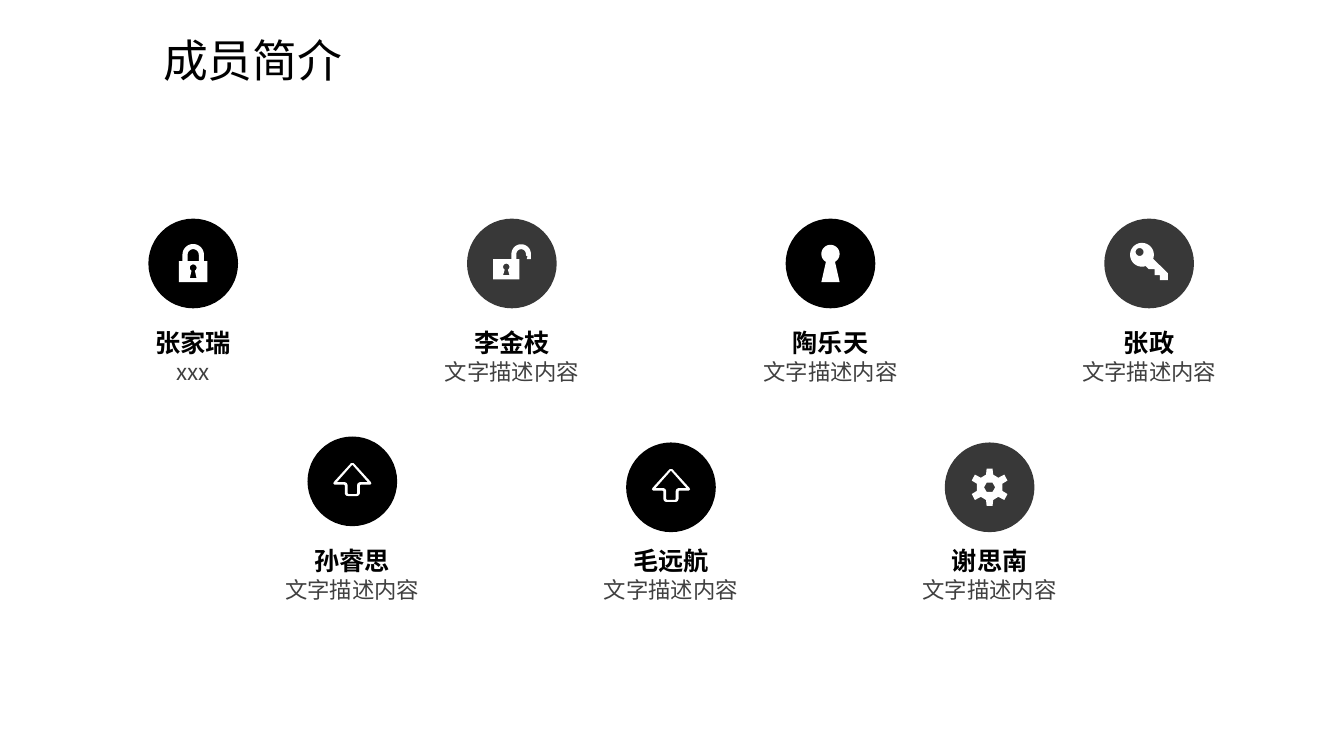
"""Build the team introduction slide: seven members with round icons."""
from dataclasses import dataclass
from math import cos, radians, sin

from lxml.etree import SubElement
from pptx import Presentation
from pptx.dml.color import RGBColor
from pptx.enum.shapes import MSO_SHAPE as Shape
from pptx.enum.text import MSO_ANCHOR as Anchor, PP_ALIGN as Align
from pptx.oxml.ns import qn
from pptx.util import Cm, Pt

TITLE = "成员简介"
ROWS = [
    [("张家瑞", "xxx", "lock"), ("李金枝", "文字描述内容", "unlock"),
     ("陶乐天", "文字描述内容", "keyhole"), ("张政", "文字描述内容", "key")],
    [("孙睿思", "文字描述内容", "arrow"), ("毛远航", "文字描述内容", "arrow"),
     ("谢思南", "文字描述内容", "gear")],
]
LIGHT_ICONS = {"unlock", "key", "gear"}
ROW_LEFT = [4.87, 8.88]
CIRCLE_TOPS = [[5.51] * 4, [11.0, 11.15, 11.15]]
NAME_TOPS = [8.26, 13.74]
PITCH = 8.03
CIRCLE = 2.26
TEXT_WIDTH, NAME_HEIGHT, NOTE_HEIGHT, NOTE_DROP = 4.39, 0.76, 0.68, 0.77


@dataclass(frozen=True)
class Theme:
    font: str = "Noto Sans CJK SC"
    black: RGBColor = RGBColor(0, 0, 0)
    gray: RGBColor = RGBColor(0x40, 0x40, 0x40)
    white: RGBColor = RGBColor(255, 255, 255)
    light_alpha: int = 78000
    title_size: int = 32
    name_size: int = 18
    note_size: int = 16


THEME = Theme()


def arc(x, y, radius, start, end, steps=32):
    angles = [radians(start + (end - start) * i / steps) for i in range(steps + 1)]
    return [(x + radius * cos(a), y + radius * sin(a)) for a in angles]


def mirror(half):
    return half + [(-x, y) for x, y in reversed(half)]


def keyhole(x, y, radius, bottom):
    return arc(x, y, radius, 120, 420) + [(x + radius, bottom), (x - radius, bottom)]


def gear_outline():
    upper = [(0.75, -4.7), (0.9, -3.2), (2.2, -2.4), (3.7, -3.2), (4.5, -1.7), (3.2, -0.9)]
    return mirror(upper + [(x, -y) for x, y in reversed(upper)])


ICONS = {
    "lock": [
        mirror(arc(0, -2.2, 2.7, 270, 360) + [(2.7, -0.6), (3.6, -0.6), (3.6, 4.7)]),
        mirror(arc(0, -2.2, 1.4, 270, 360) + [(1.4, -0.6)]),
        keyhole(0, 1.1, 0.85, 3.7),
    ],
    "unlock": [
        [(-4.7, -1.1), (-0.1, -1.1)] + arc(2.35, -2.4, 2.45, 180, 360)
        + [(4.8, -1.1), (3.8, -1.1), (3.8, -1.4), (4, -1.7), (3.6, -2)]
        + arc(2.35, -2.4, 1.2, 360, 180)
        + [(1.15, -1.1), (1.9, -1.1), (1.9, 4), (-4.7, 4)],
        keyhole(-1.4, 0.85, 0.8, 2.9),
    ],
    "keyhole": [keyhole(0, -2.4, 2.3, 4.7)],
    "key": [
        arc(-1.8, -2.2, 3, 72, 380)
        + [(4.7, 2.4), (4.7, 4.2), (2.7, 4.2), (2.7, 2.9), (1.4, 2.9), (1.4, 1.4), (-0.1, 1.4)],
        arc(-2.4, -2.9, 1, 0, 360),
    ],
    "arrow": [
        mirror([(0.3, -4.6), (0.5, -4.4), (4.6, 0.1), (4.8, 0.5), (4.5, 0.85), (2.1, 0.85),
                (1.9, 1), (1.9, 2.9)] + arc(1.1, 2.9, 0.8, 0, 90, 8)),
        mirror([(0, -4.2), (3.9, 0.2), (1.9, 0.2), (1.4, 0.45), (1.2, 0.9),
                (1.2, 3), (1, 3.2)]),
    ],
    "gear": [
        gear_outline(),
        mirror([(0.75, -1.15), (1.4, 0), (0.75, 1.15)]),
    ],
}


def paint(shape, color, alpha=None):
    shape.shadow.inherit = False
    shape.fill.solid()
    shape.fill.fore_color.rgb = color
    shape.line.fill.background()
    if alpha:
        tint = shape.fill._xPr.find(".//" + qn("a:srgbClr"))
        SubElement(tint, qn("a:alpha"), val=str(alpha))


def add_text(page, words, place, size, color, bold=False, align=Align.CENTER,
             anchor=Anchor.TOP, inset=0):
    box = page.shapes.add_textbox(*map(Cm, place))
    frame = box.text_frame
    frame.word_wrap = True
    frame.vertical_anchor = anchor
    frame.margin_left = frame.margin_right = Cm(inset)
    frame.margin_top = frame.margin_bottom = 0
    para = frame.paragraphs[0]
    para.text = words
    para.alignment = align
    font = para.font
    font.name, font.size, font.bold = THEME.font, Pt(size), bold
    font.color.rgb = color
    SubElement(para._p.pPr.find(qn("a:defRPr")), qn("a:ea"), typeface=THEME.font)


def add_icon(page, name, center_x, center_y):
    contours = [[(Cm(center_x + x / 10), Cm(center_y + y / 10)) for x, y in contour]
                for contour in ICONS[name]]
    builder = page.shapes.build_freeform(*contours[0][0])
    for index, contour in enumerate(contours):
        if index:
            builder.move_to(*contour[0])
        builder.add_line_segments(contour[1:], close=True)
    paint(builder.convert_to_shape(), THEME.white)


def add_member(page, member, center, circle_top, name_top):
    name, note, icon = member
    circle = page.shapes.add_shape(
        Shape.OVAL, Cm(center - CIRCLE / 2), Cm(circle_top), Cm(CIRCLE), Cm(CIRCLE))
    paint(circle, THEME.black, THEME.light_alpha if icon in LIGHT_ICONS else None)
    add_icon(page, icon, center, circle_top + CIRCLE / 2)
    left = center - TEXT_WIDTH / 2
    add_text(page, name, (left, name_top, TEXT_WIDTH, NAME_HEIGHT),
             THEME.name_size, THEME.black, bold=True)
    add_text(page, note, (left, name_top + NOTE_DROP, TEXT_WIDTH, NOTE_HEIGHT),
             THEME.note_size, THEME.gray)


def main():
    deck = Presentation()
    deck.slide_width, deck.slide_height = Cm(33.87), Cm(19.05)
    page = deck.slides.add_slide(deck.slide_layouts[6])
    add_text(page, TITLE, (3.86, 0.69, 19.76, 1.63), THEME.title_size, THEME.black,
             align=Align.LEFT, anchor=Anchor.MIDDLE, inset=0.25)
    for row, left, tops, name_top in zip(ROWS, ROW_LEFT, CIRCLE_TOPS, NAME_TOPS):
        for column, (member, top) in enumerate(zip(row, tops)):
            add_member(page, member, left + column * PITCH, top, name_top)
    deck.save("out.pptx")


if __name__ == "__main__":
    main()
